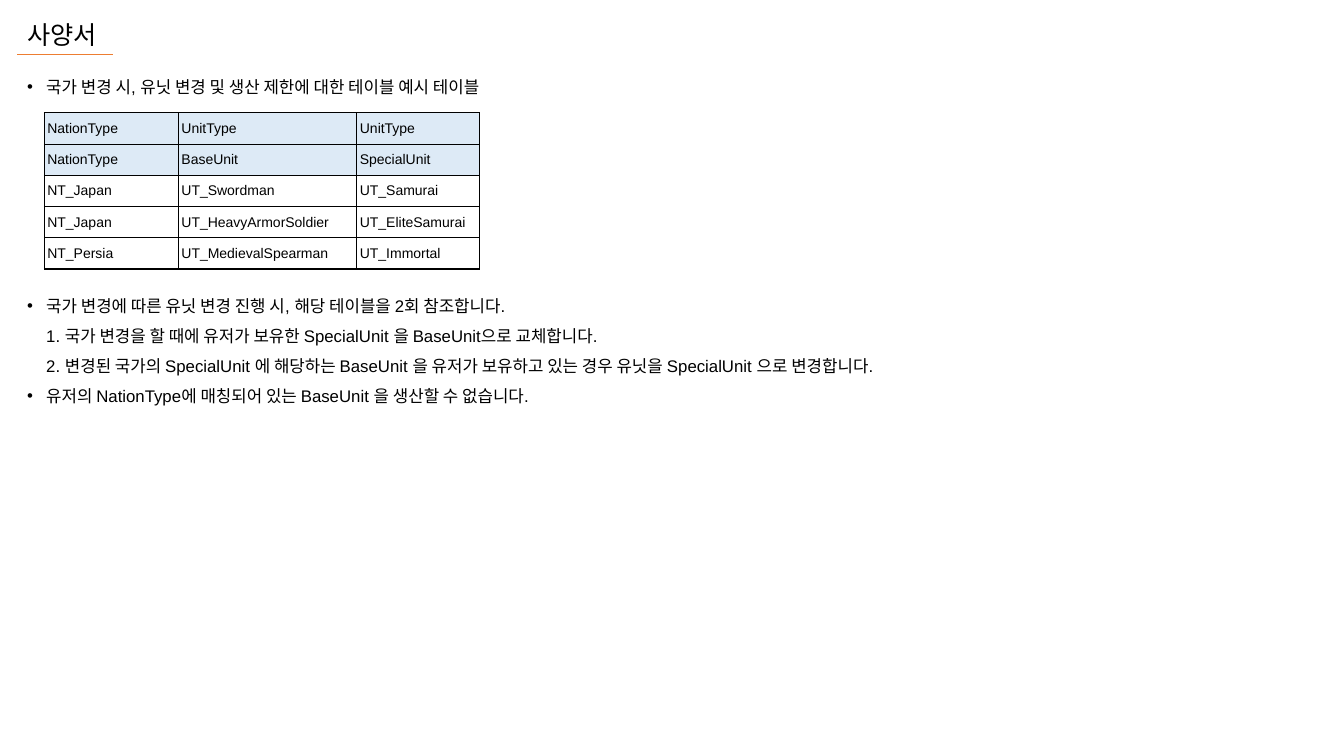
import pptx
import pptx.util
import pptx.dml.color
import pptx.enum.shapes
import pptx.enum.text
import pptx.oxml
import pptx.oxml.ns
import lxml.etree

Inches = pptx.util.Inches
Pt = pptx.util.Pt
qn = pptx.oxml.ns.qn

COLORS = {"text": "000000", "accent": "ED7D31", "header": "DDEAF6", "border": "000000"}


def add_run(p, text, size):
    r = p.add_run()
    r.text = text
    r.font.size = Pt(size)
    r.font.name = "Arial"
    r.font.color.rgb = pptx.dml.color.RGBColor.from_string(COLORS["text"])


def add_text(left, top, width, height, paragraphs, size, bullet):
    tf = slide.shapes.add_textbox(Inches(left), Inches(top), Inches(width), Inches(height)).text_frame
    tf.word_wrap = True
    for i, lines in enumerate(paragraphs):
        p = tf.paragraphs[0] if i == 0 else tf.add_paragraph()
        if bullet:
            p.line_spacing = 1.5
            pPr = p._p.get_or_add_pPr()
            pPr.set("marL", str(Inches(0.19)))
            pPr.set("indent", str(Inches(-0.19)))
            clr = lxml.etree.SubElement(pPr, qn("a:buClr"))
            lxml.etree.SubElement(clr, qn("a:srgbClr"), val=COLORS["text"])
            lxml.etree.SubElement(pPr, qn("a:buFont"), typeface="Arial")
            lxml.etree.SubElement(pPr, qn("a:buChar"), char="•")
        for j, line in enumerate(lines):
            if j:
                p.add_line_break()
            add_run(p, line, size)


prs = pptx.Presentation()
prs.slide_width = Inches(13.33)
prs.slide_height = Inches(7.5)
slide = prs.slides.add_slide(prs.slide_layouts[6])

add_text(0.17, 0.14, 0.96, 0.4, [["사양서"]], 18, False)

underline = slide.shapes.add_connector(
    pptx.enum.shapes.MSO_CONNECTOR.STRAIGHT, Inches(0.17), Inches(0.54), Inches(1.12), Inches(0.54))
underline.line.color.rgb = pptx.dml.color.RGBColor.from_string(COLORS["accent"])
underline.line.width = Pt(0.75)
lxml.etree.SubElement(underline._element.spPr, qn("a:effectLst"))

rows = [
    ["NationType", "UnitType", "UnitType"],
    ["NationType", "BaseUnit", "SpecialUnit"],
    ["NT_Japan", "UT_Swordman", "UT_Samurai"],
    ["NT_Japan", "UT_HeavyArmorSoldier", "UT_EliteSamurai"],
    ["NT_Persia", "UT_MedievalSpearman", "UT_Immortal"],
]
col_widths = [1.33, 1.77, 1.22]
row_height = 0.31
header_rows = 2

table = slide.shapes.add_table(
    len(rows), len(col_widths), Inches(0.44), Inches(1.12),
    Inches(sum(col_widths)), Inches(row_height * len(rows))).table
table.first_row = False
table.horz_banding = False
for col, width in zip(table.columns, col_widths):
    col.width = Inches(width)
for i, values in enumerate(rows):
    table.rows[i].height = Inches(row_height)
    for j, value in enumerate(values):
        cell = table.cell(i, j)
        cell.vertical_anchor = pptx.enum.text.MSO_ANCHOR.MIDDLE
        cell.margin_left = cell.margin_right = Inches(0.03)
        cell.margin_top = cell.margin_bottom = Inches(0.02)
        add_run(cell.text_frame.paragraphs[0], value, 10)
        tcPr = cell._tc.get_or_add_tcPr()
        for side in ("lnL", "lnR", "lnT", "lnB"):
            ln = lxml.etree.SubElement(tcPr, qn("a:" + side), w=str(Pt(1)))
            fill = lxml.etree.SubElement(ln, qn("a:solidFill"))
            lxml.etree.SubElement(fill, qn("a:srgbClr"), val=COLORS["border"])
        if i < header_rows:
            cell.fill.solid()
            cell.fill.fore_color.rgb = pptx.dml.color.RGBColor.from_string(COLORS["header"])
        else:
            cell.fill.background()

add_text(0.17, 0.61, 5.29, 0.4, [
    ["국가 변경 시, 유닛 변경 및 생산 제한에 대한 테이블 예시 테이블"],
], 12, True)
add_text(0.17, 2.78, 9.37, 1.31, [
    ["국가 변경에 따른 유닛 변경 진행 시, 해당 테이블을 2회 참조합니다.",
     "1. 국가 변경을 할 때에 유저가 보유한 SpecialUnit 을 BaseUnit으로 교체합니다.",
     "2. 변경된 국가의 SpecialUnit 에 해당하는 BaseUnit 을 유저가 보유하고 있는 경우 유닛을 SpecialUnit 으로 변경합니다."],
    ["유저의 NationType에 매칭되어 있는 BaseUnit 을 생산할 수 없습니다."],
], 12, True)

prs.save("out.pptx")
